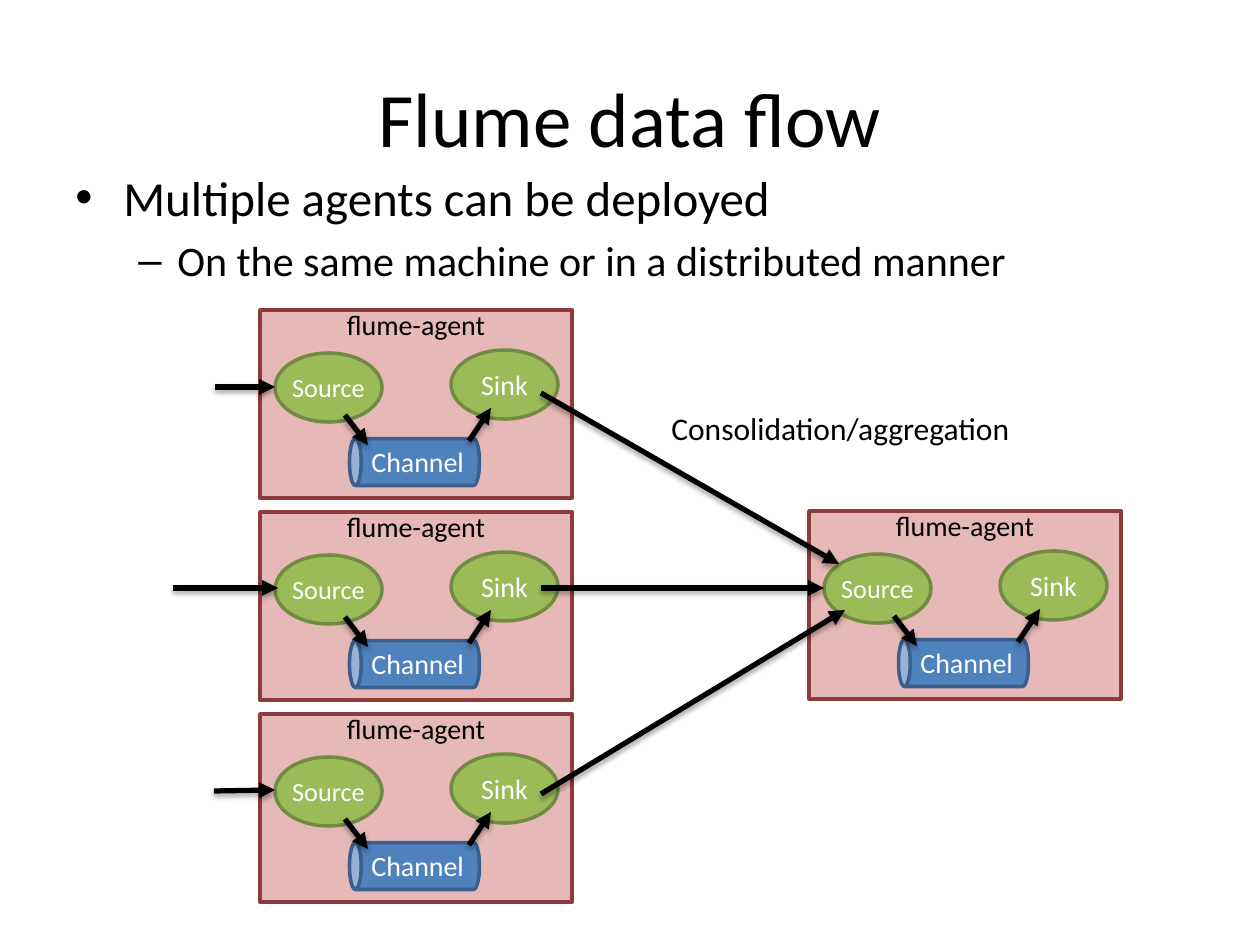
from dataclasses import dataclass

from lxml import etree
from pptx import Presentation
from pptx.dml.color import RGBColor
from pptx.enum.shapes import MSO_CONNECTOR as CONN, MSO_SHAPE as SHAPE
from pptx.enum.text import MSO_ANCHOR as ANCHOR, PP_ALIGN as ALIGN
from pptx.oxml import parse_xml
from pptx.oxml.ns import nsdecls, qn
from pptx.util import Emu, Pt

PX = 914400 / 126


def px(n):
    return Emu(round(n * PX))


@dataclass(frozen=True)
class Theme:
    font: str = "Calibri"
    black: str = "000000"
    white: str = "FFFFFF"
    agent: tuple = ("E6B9B8", "8E3B39")
    channel: tuple = ("4F81BD", "3A5F8C")
    endpoint: tuple = ("9BBB59", "738A42")
    title: int = 44
    bullet: int = 28
    sub_bullet: int = 24
    note: int = 18
    label: int = 16
    small: int = 15
    outline: int = 2
    arrow: int = 3


SHADOW = f"""<a:effectLst {nsdecls('a')}>
  <a:outerShdw blurRad="39370" dist="22860" dir="5400000" rotWithShape="0">
    <a:srgbClr val="000000"><a:alpha val="35000"/></a:srgbClr>
  </a:outerShdw>
</a:effectLst>"""


class Deck:
    def __init__(self, theme):
        self.t = theme
        self.prs = Presentation()
        self.prs.slide_width, self.prs.slide_height = px(1260), px(945)
        self.s = self.prs.slides.add_slide(self.prs.slide_layouts[5])
        self.canvas = self.s.shapes

    def run(self, p, text, size, color, align=ALIGN.LEFT):
        p.alignment = align
        r = p.add_run()
        r.text = text
        values = {"name": self.t.font, "size": Pt(size), "bold": False}
        for name, value in values.items():
            setattr(r.font, name, value)
        r.font.color.rgb = RGBColor.from_string(color)

    def title(self, box, text):
        sp = self.s.shapes.title
        for name, value in zip(("left", "top", "width", "height"), box):
            setattr(sp, name, px(value))
        sp.text_frame.vertical_anchor = ANCHOR.MIDDLE
        self.run(sp.text_frame.paragraphs[0], text, self.t.title,
                 self.t.black, ALIGN.CENTER)

    def text(self, box, text, size, color, align=ALIGN.LEFT, wrap=True):
        tf = self.canvas.add_textbox(*map(px, box)).text_frame
        tf.word_wrap = wrap
        self.run(tf.paragraphs[0], text, size, color, align)

    def bullets(self, box, items):
        tf = self.canvas.add_textbox(*map(px, box)).text_frame
        tf.word_wrap = True
        for i, (text, level, mark, size, left, hang) in enumerate(items):
            p = tf.add_paragraph() if i else tf.paragraphs[0]
            p.level = level
            pPr = p._p.get_or_add_pPr()
            pPr.set("marL", str(px(left)))
            pPr.set("indent", str(px(-hang)))
            etree.SubElement(pPr, qn("a:buFont")).set("typeface", "Arial")
            etree.SubElement(pPr, qn("a:buChar")).set("char", mark)
            if i:
                p.space_before = Pt(size * 0.2)
            self.run(p, text, size, self.t.black)

    def shape(self, kind, box, colors, text="", size=0, rotation=0):
        sp = self.canvas.add_shape(kind, *map(px, box))
        fill, line = map(RGBColor.from_string, colors)
        sp.shadow.inherit = False
        sp.rotation = rotation
        sp.fill.solid()
        sp.fill.fore_color.rgb = fill
        sp.line.color.rgb = line
        sp.line.width = Pt(self.t.outline)
        if text:
            tf = sp.text_frame
            values = {"margin_left": 0, "margin_right": 0, "word_wrap": True,
                      "vertical_anchor": ANCHOR.MIDDLE}
            for name, value in values.items():
                setattr(tf, name, value)
            self.run(tf.paragraphs[0], text, size, self.t.white, ALIGN.CENTER)

    def arrow(self, *ends):
        c = self.canvas.add_connector(CONN.STRAIGHT, *map(px, ends))
        c.line.color.rgb = RGBColor.from_string(self.t.black)
        c.line.width = Pt(self.t.arrow)
        spPr = c._element.spPr
        ln = spPr.find(qn("a:ln"))
        etree.SubElement(ln, qn("a:tailEnd")).set("type", "triangle")
        spPr.append(parse_xml(SHADOW))

    def agent(self, x, y):
        t = self.t
        self.canvas = self.s.shapes.add_group_shape().shapes
        self.shape(SHAPE.RECTANGLE, (x, y, 312, 188), t.agent)
        self.text((x, y - 9, 312, 47), "flume-agent", t.label, t.black,
                  ALIGN.CENTER)
        self.shape(SHAPE.CAN, (x + 131, y + 87, 47, 130), t.channel,
                   rotation=270)
        self.text((x + 99, y + 128, 118, 47), "Channel", t.label, t.white,
                  wrap=False)
        self.shape(SHAPE.OVAL, (x + 15, y + 43, 107, 69), t.endpoint,
                   "Source", t.small)
        self.shape(SHAPE.OVAL, (x + 191, y + 40, 107, 69), t.endpoint,
                   "Sink", t.label)
        self.arrow(x + 85, y + 105, x + 108, y + 135)
        self.arrow(x + 209, y + 131, x + 231, y + 98)
        self.canvas = self.s.shapes


def main():
    t = Theme()
    deck = Deck(t)

    # Heading and bullets
    deck.title((63, 38, 1134, 157), "Flume data flow")
    deck.bullets((63, 161, 1134, 713), [
        ("Multiple agents can be deployed", 0, "•", t.bullet, 48, 48),
        ("On the same machine or in a distributed manner", 1, "–",
         t.sub_bullet, 102, 39),
    ])

    # Three collecting agents and the aggregating one
    for row in range(3):
        deck.agent(260, 310 + 202 * row)
    deck.agent(809, 511)

    # Sinks feeding the aggregating source
    for ends in ((541, 393, 839, 564), (541, 588, 824, 588),
                 (541, 794, 845, 610)):
        deck.arrow(*ends)
    deck.text((659, 403, 368, 50), "Consolidation/aggregation", t.note,
              t.black, wrap=False)

    # Incoming data
    for ends in ((215, 387, 275, 387), (173, 588, 278, 588),
                 (214, 791, 275, 790)):
        deck.arrow(*ends)

    deck.prs.save("out.pptx")


if __name__ == "__main__":
    main()
